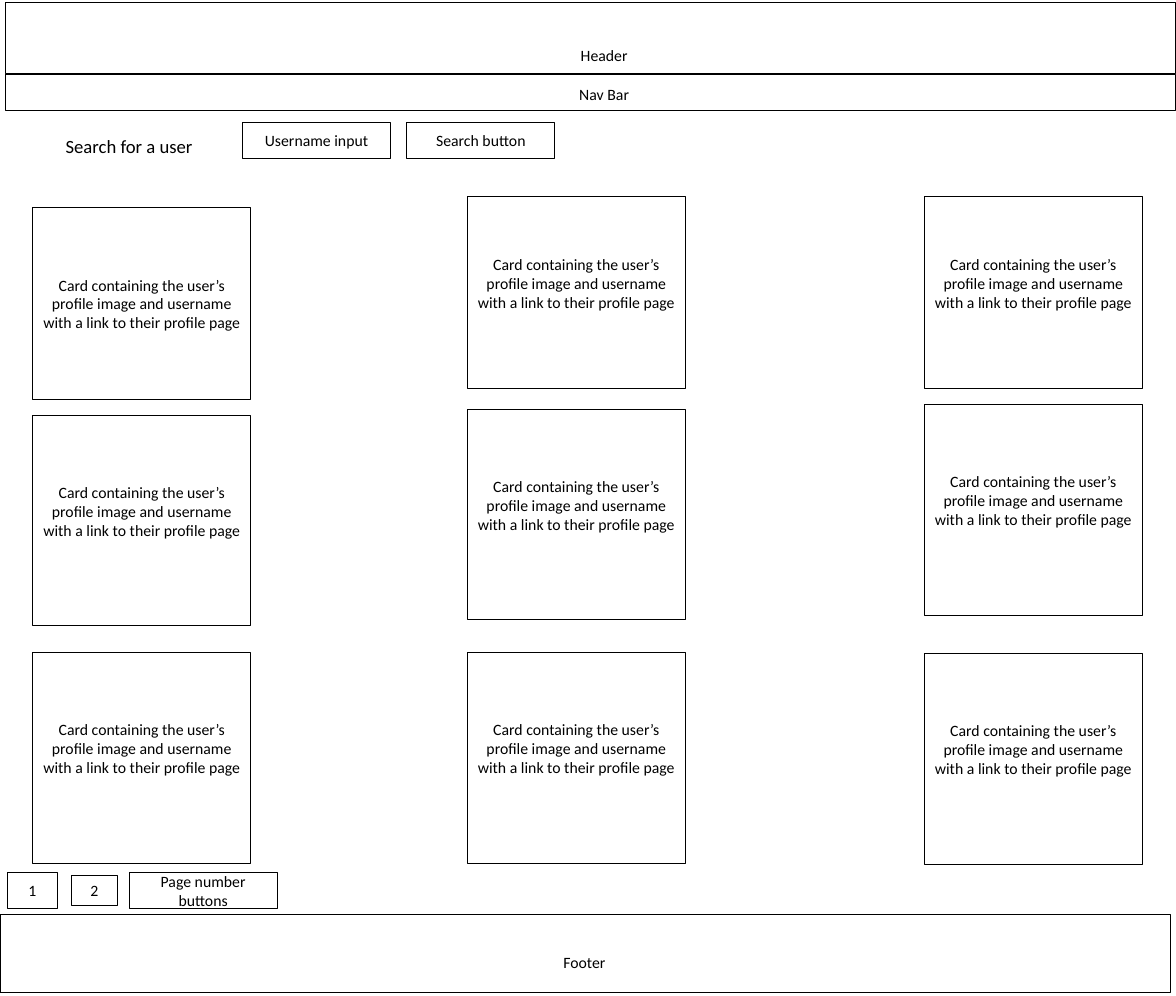
import pptx
import pptx.util
import pptx.dml.color
import pptx.enum.shapes
import pptx.enum.text

Pt = pptx.util.Pt

COLOURS = {"ink": "000000", "page": "FFFFFF"}
FONT = "Calibri"
BODY_SIZE = 15.2
HEADING_SIZE = 18
INSET = 3.6
CARD_LIFT = 18.5

SLIDE_SIZE = (1134, 960)

# left, top, width, height
BANDS = [
    (5, 2.9, 1129, 67.7),
    (5, 72, 1129, 34.6),
    (0, 881.3, 1129, 75.6),
]

# text, left, top, width, height, size, wrap
LABELS = [
    ("Header", 403.7, 41, 357.8, 25.9, BODY_SIZE, True),
    ("Nav Bar", 403.7, 78.5, 357.8, 25.9, BODY_SIZE, True),
    ("Footer", 384.7, 915.1, 357.8, 25.9, BODY_SIZE, True),
    ("Search for a user", 55.4, 126.7, 138.2, 28.8, HEADING_SIZE, False),
]

CONTROLS = [
    ("Username input", 234, 118.1, 142.6, 34.6),
    ("Search button", 392.4, 118.1, 142.6, 34.6),
    ("1", 7.2, 841, 48.2, 34.6),
    ("2", 69.1, 843.8, 43.9, 28.8),
    ("Page number buttons", 124.6, 841, 142.6, 34.6),
]

CARD_TEXT = ("Card containing the user’s profile image and username "
             "with a link to their profile page")
CARD_WIDTH = 210.2
CARD_HEIGHTS = [185, 203, 203]
# left, then the top of each card in the column
CARD_COLUMNS = [
    (31.7, [200.2, 400.3, 629.3]),
    (450.7, [189.4, 394.6, 629.3]),
    (891.4, [189.4, 390.2, 630]),
]


def colour(name):
    return pptx.dml.color.RGBColor.from_string(COLOURS[name])


def write_text(shape, text, size=BODY_SIZE, wrap=True):
    frame = shape.text_frame
    frame.text = text
    frame.word_wrap = wrap
    paragraph = frame.paragraphs[0]
    paragraph.alignment = pptx.enum.text.PP_ALIGN.CENTER
    font = paragraph.runs[0].font
    font.name = FONT
    font.size = Pt(size)
    font.color.rgb = colour("ink")


def add_box(slide, left, top, width, height, text="", lift=0):
    """Add an outlined box; lift is extra room kept below its centred text."""
    box = slide.shapes.add_shape(pptx.enum.shapes.MSO_SHAPE.RECTANGLE,
                                 Pt(left), Pt(top), Pt(width), Pt(height))
    box.shadow.inherit = False
    box.fill.background()
    box.line.color.rgb = colour("ink")
    box.line.width = Pt(1)
    if text:
        write_text(box, text)
        box.text_frame.vertical_anchor = pptx.enum.text.MSO_ANCHOR.MIDDLE
        box.text_frame.margin_bottom = Pt(INSET + lift)


def add_label(slide, text, left, top, width, height, size, wrap):
    label = slide.shapes.add_textbox(Pt(left), Pt(top), Pt(width), Pt(height))
    write_text(label, text, size, wrap)


def main():
    presentation = pptx.Presentation()
    presentation.slide_width, presentation.slide_height = map(Pt, SLIDE_SIZE)
    slide = presentation.slides.add_slide(presentation.slide_layouts[6])
    slide.background.fill.solid()
    slide.background.fill.fore_color.rgb = colour("page")

    for band in BANDS:
        add_box(slide, *band)
    for label in LABELS:
        add_label(slide, *label)
    for column, (left, tops) in enumerate(CARD_COLUMNS):
        for row, (top, height) in enumerate(zip(tops, CARD_HEIGHTS)):
            # Only the first card has its text in the exact middle.
            lift = CARD_LIFT if column or row else 0
            add_box(slide, left, top, CARD_WIDTH, height, CARD_TEXT, lift)
    for text, *place in CONTROLS:
        add_box(slide, *place, text)

    presentation.save("out.pptx")


if __name__ == "__main__":
    main()
